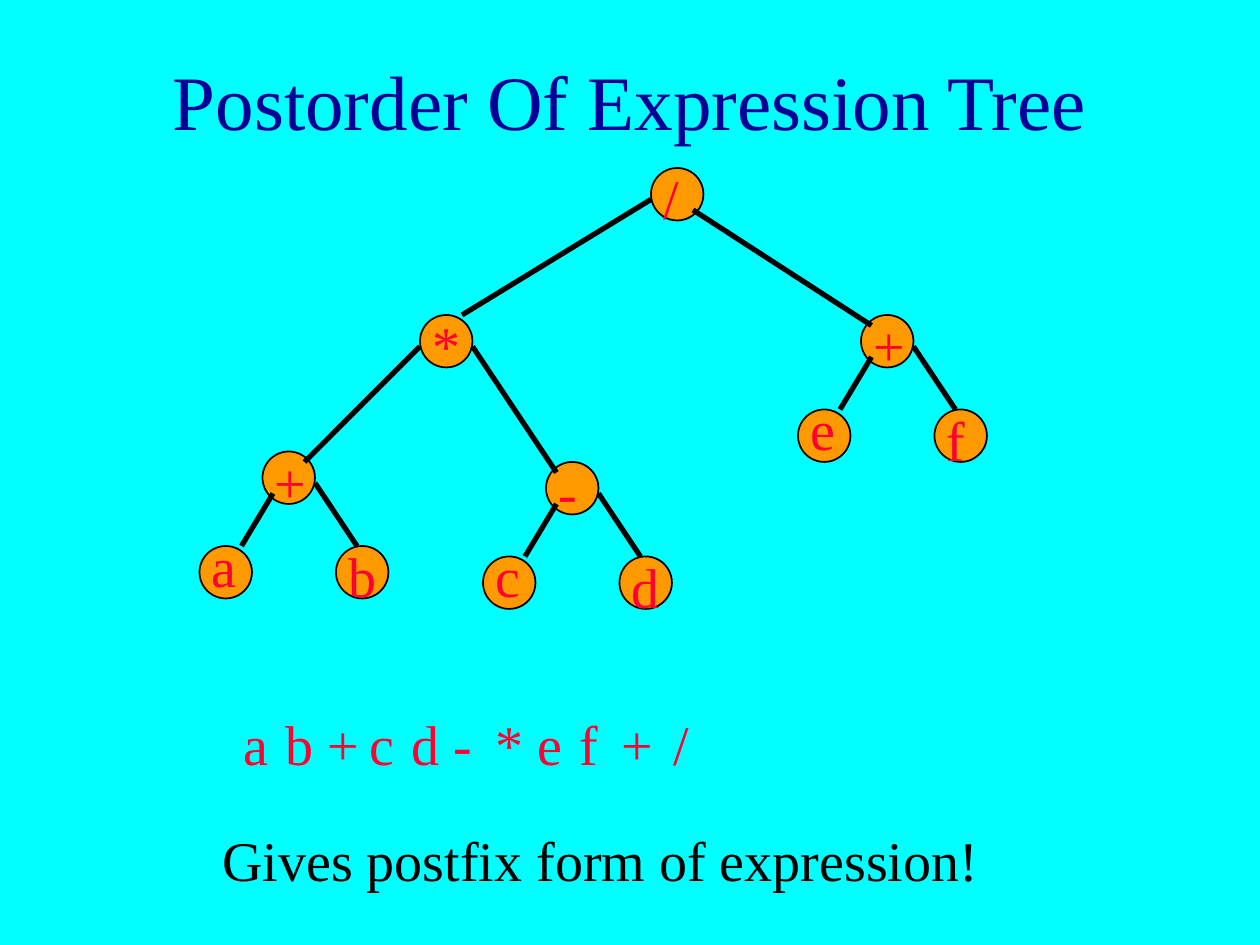
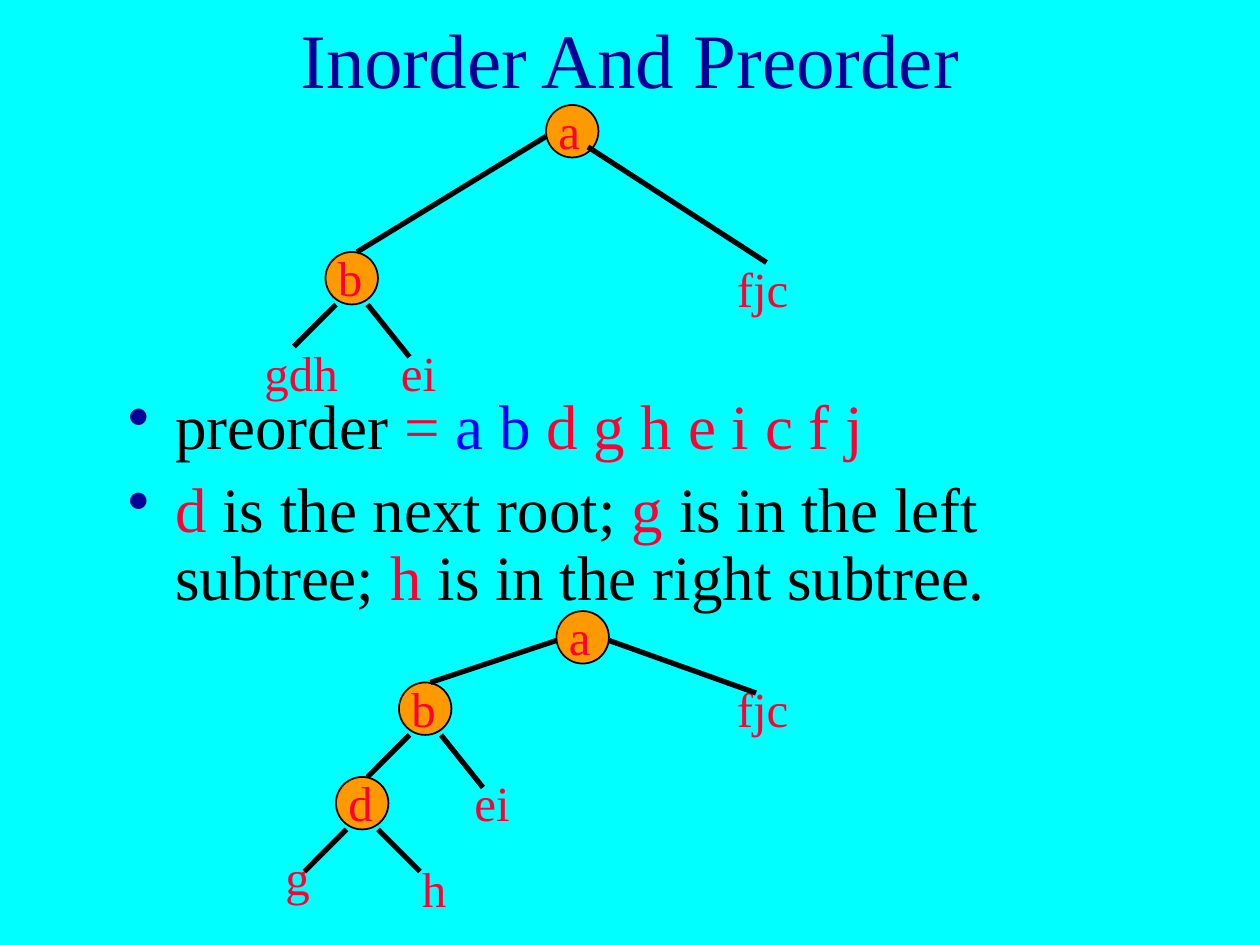
from dataclasses import dataclass

from lxml.etree import SubElement
from pptx import Presentation
from pptx.dml.color import RGBColor
from pptx.enum.shapes import MSO_CONNECTOR, MSO_SHAPE
from pptx.enum.text import MSO_ANCHOR, MSO_AUTO_SIZE, PP_ALIGN
from pptx.oxml.ns import qn
from pptx.util import Cm, Pt

CELL = 2.54 / 12  # the slides sit on a grid of 120 by 90 cells
DISC = 5
FACE = "Times New Roman"
AQUA, NAVY, BLUE = "00FFFF", "000099", "0000FF"
ORANGE, RED, BLACK = "FF9900", "FF0033", "000000"


@dataclass(frozen=True)
class Node:
    text: str
    x: float
    y: float
    lift: float = 1  # how far the label starts above the disc


@dataclass(frozen=True)
class Edge:
    x1: float
    y1: float
    x2: float
    y2: float


@dataclass(frozen=True)
class Word:
    text: str
    x: float
    y: float
    width: float


def grid(cells: float) -> Cm:
    return Cm(cells * CELL)


def color(code: str) -> RGBColor:
    return RGBColor.from_string(code)


def assign(target, values: dict) -> None:
    for name, value in values.items():
        setattr(target, name, value)


def add_box(shapes, x: float, y: float, width: float, height: float):
    box = shapes.add_textbox(grid(x), grid(y), grid(width), grid(height))
    box.text_frame.word_wrap = True
    return box.text_frame


def add_run(para, text: str, size: float, code: str) -> None:
    run = para.add_run()
    run.text = text
    assign(run.font, {"name": FACE, "size": Pt(size)})
    run.font.color.rgb = color(code)


def add_title(slide, text: str, height: float) -> None:
    frame = add_box(slide.shapes, 9, 2, 102, height)
    frame.vertical_anchor = MSO_ANCHOR.MIDDLE
    para = frame.paragraphs[0]
    para.alignment = PP_ALIGN.CENTER
    add_run(para, text, 44, NAVY)


def add_word(shapes, word: Word, size: float, code: str = RED) -> None:
    frame = add_box(shapes, word.x, word.y, word.width, size * 0.24)
    frame.auto_size = MSO_AUTO_SIZE.SHAPE_TO_FIT_TEXT
    para = frame.paragraphs[0]
    para.space_before = Pt(size * 0.625)
    add_run(para, word.text, size, code)


def add_node(shapes, node: Node, size: float, width: float) -> None:
    disc = shapes.add_shape(MSO_SHAPE.OVAL, grid(node.x), grid(node.y),
                            grid(DISC), grid(DISC))
    disc.shadow.inherit = False
    disc.fill.solid()
    disc.fill.fore_color.rgb = color(ORANGE)
    disc.line.color.rgb = color(BLACK)
    disc.line.width = Pt(1)
    add_word(shapes, Word(node.text, node.x, node.y - node.lift, width), size)


def add_edge(shapes, edge: Edge) -> None:
    line = shapes.add_connector(MSO_CONNECTOR.STRAIGHT, grid(edge.x1),
                                grid(edge.y1), grid(edge.x2), grid(edge.y2))
    line.line.color.rgb = color(BLACK)
    line.line.width = Pt(3)
    SubElement(line._element.spPr, qn("a:effectLst"))


def add_tree(slide, nodes: list[Node], edges: list[Edge], words: list[Word],
             size: float, width: float) -> None:
    shapes = slide.shapes.add_group_shape().shapes
    for node in nodes:
        add_node(shapes, node, size, width)
    for word in words:
        add_word(shapes, word, size)
    for edge in edges:
        add_edge(shapes, edge)


def fork(root: str, left: str, right: str, x: float,
         y: float) -> tuple[list[Node], list[Edge]]:
    """Give the nodes and edges of an operator with two operands."""
    nodes = [Node(root, x, y), Node(left, x - 6, y + 9, 2),
             Node(right, x + 7, y + 9)]
    edges = [Edge(x + 1, y + 4, x - 2, y + 9),
             Edge(x + 5, y + 3, x + 9, y + 9)]
    return nodes, edges


def add_bullet(para, runs: list[tuple[str, str]]) -> None:
    assign(para, {"line_spacing": 0.9, "space_before": Pt(9)})
    props = para._p.get_or_add_pPr()
    props.set("marL", str(grid(4.5)))
    props.set("indent", str(-grid(4.5)))
    tint = SubElement(props, qn("a:buClr"))
    SubElement(tint, qn("a:srgbClr"), val=NAVY)
    SubElement(props, qn("a:buChar"), char="•")
    for text, code in runs:
        add_run(para, text, 36, code)


def add_slide(deck, title: str, height: float):
    slide = deck.slides.add_slide(deck.slide_layouts[6])
    slide.background.fill.solid()
    slide.background.fill.fore_color.rgb = color(AQUA)
    add_title(slide, title, height)
    return slide


def build_postorder(deck) -> None:
    slide = add_slide(deck, "Postorder Of Expression Tree", 15)
    nodes = [Node("*", 40, 30), Node("/", 62, 16)]
    edges = [Edge(40, 33, 29, 44), Edge(45, 33, 53, 45),
             Edge(62, 19, 44, 30), Edge(66, 20, 83, 31)]
    for part in (("+", "a", "b", 25, 43), ("-", "c", "d", 52, 44),
                 ("+", "e", "f", 82, 30)):
        discs, lines = fork(*part)
        nodes += discs
        edges += lines
    add_tree(slide, nodes, edges, [], 32, DISC)

    add_word(slide.shapes, Word("Gives postfix form of expression!",
                                20, 78, 77), 32, BLACK)
    for index, text in enumerate("ab+cd-*ef+"):
        add_word(slide.shapes, Word(text, 22 + 4 * index, 67, DISC), 32)
    add_word(slide.shapes, Word("/", 63, 67, DISC), 32)


def build_preorder(deck) -> None:
    slide = add_slide(deck, "Inorder And Preorder", 7)
    frame = add_box(slide.shapes, 11, 37, 102, 24)
    add_bullet(frame.paragraphs[0], [
        ("preorder", BLACK), (" = ", RED), ("a b", BLUE),
        (" d g h e i c f j", RED)])
    add_bullet(frame.add_paragraph(), [
        ("d", RED), (" is the next root; ", BLACK),
        ("g", RED), (" is in the left subtree; ", BLACK),
        ("h", RED), (" is in the right subtree.", BLACK)])

    add_tree(slide, [Node("a", 52, 10), Node("b", 31, 24)],
             [Edge(52, 13, 34, 24), Edge(56, 14, 73, 25),
              Edge(32, 29, 28, 33), Edge(35, 29, 39, 34)],
             [Word("gdh", 24, 32, 10), Word("fjc", 69, 24, 17),
              Word("ei", 37, 32, 8)], 28, 10)
    add_tree(slide,
             [Node("a", 53, 58.2), Node("b", 38, 65), Node("d", 32, 74)],
             [Edge(53, 61, 41, 65), Edge(58, 61, 72, 66),
              Edge(39, 70, 35, 74), Edge(42, 70, 46, 75),
              Edge(33, 79, 29, 83), Edge(36, 79, 40, 83)],
             [Word("g", 26, 80, 5), Word("fjc", 69, 64, 17),
              Word("ei", 44, 73, 8), Word("h", 39, 81.2, 6)], 28, 10)


def main() -> None:
    deck = Presentation()
    assign(deck, {"slide_width": grid(120), "slide_height": grid(90)})
    build_postorder(deck)
    build_preorder(deck)
    deck.save("out.pptx")


if __name__ == "__main__":
    main()
